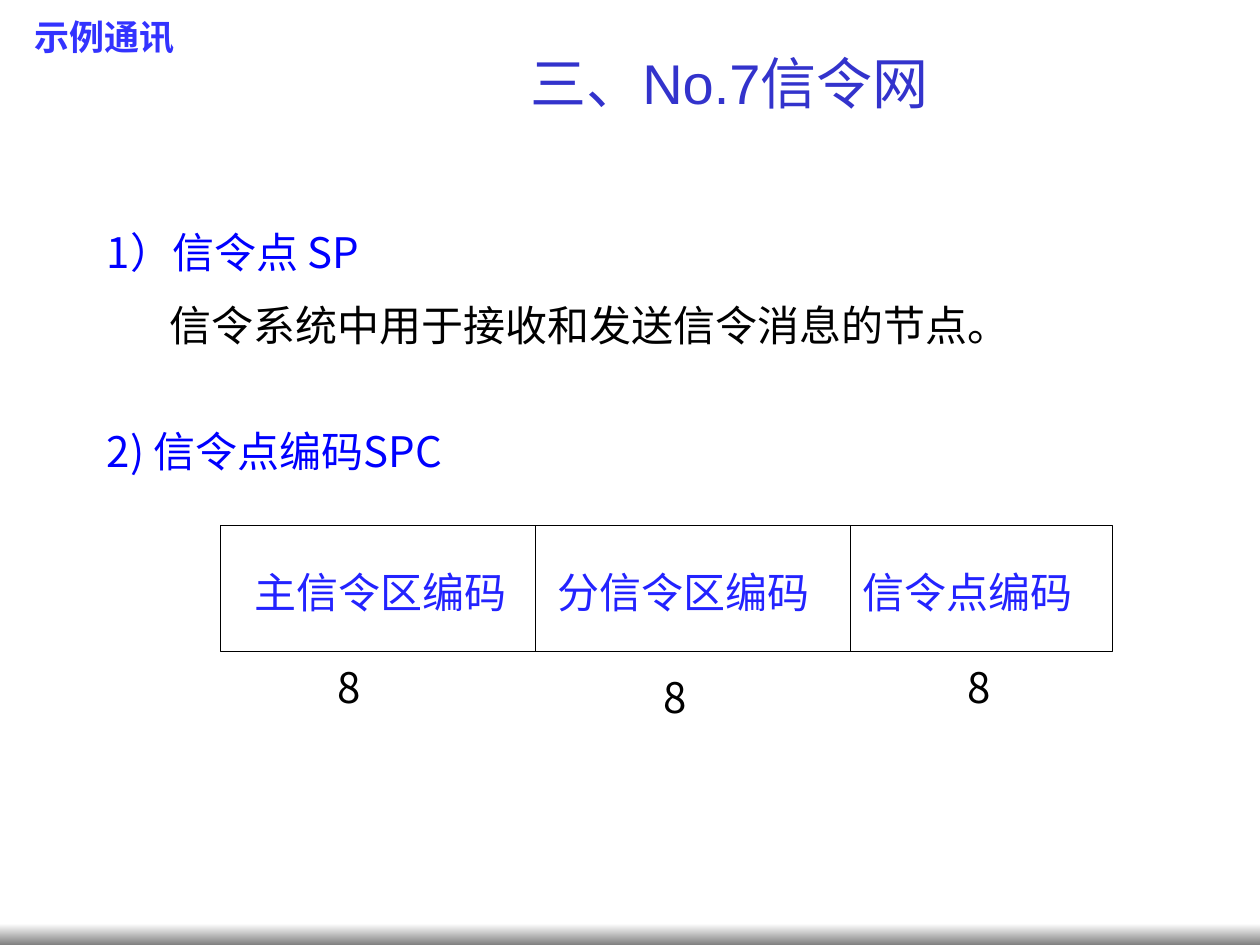
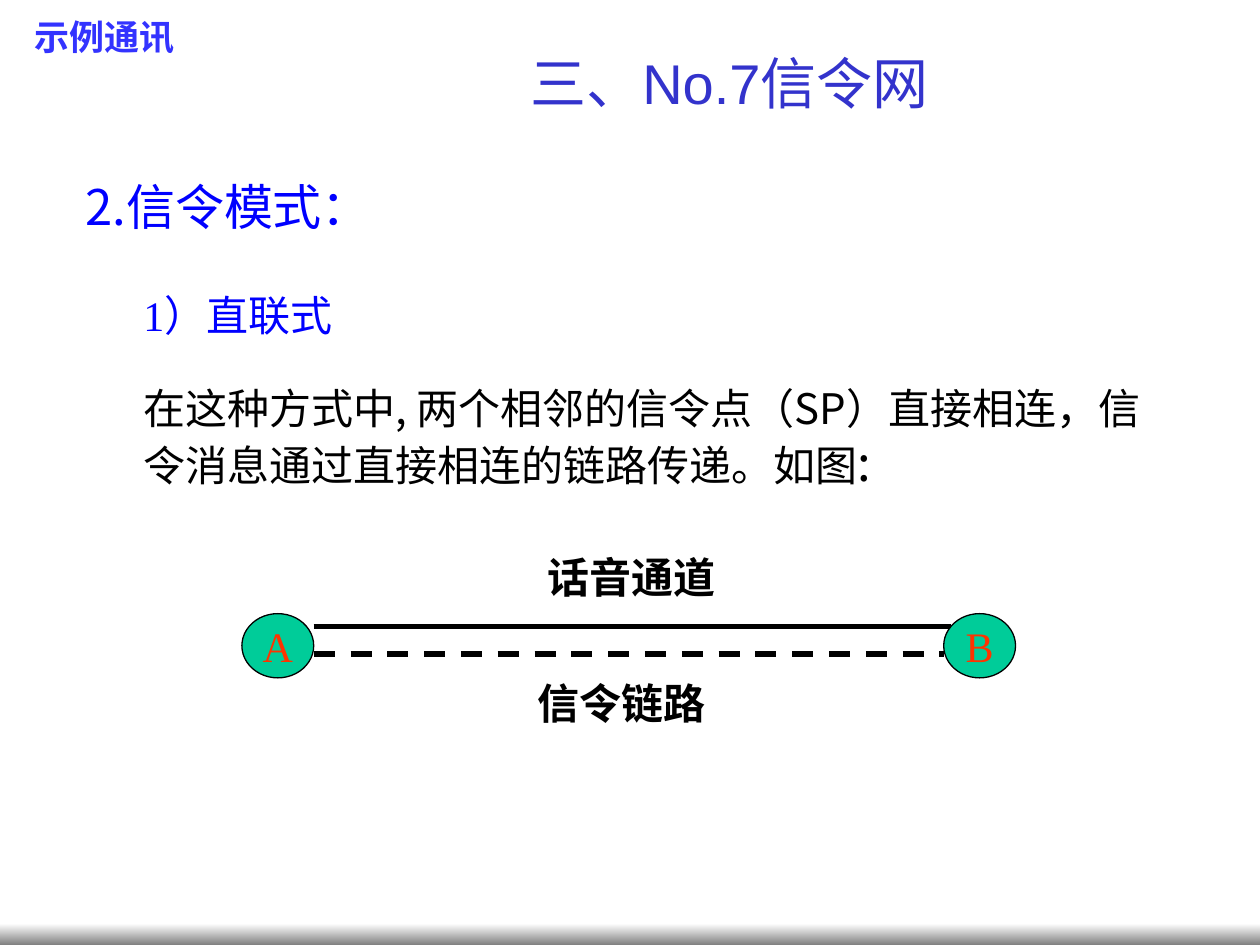
from dataclasses import dataclass

from lxml.etree import SubElement, fromstring
from pptx import Presentation
from pptx.dml.color import RGBColor
from pptx.enum.dml import MSO_LINE
from pptx.enum.shapes import MSO_CONNECTOR, MSO_SHAPE
from pptx.enum.text import MSO_ANCHOR, MSO_AUTO_SIZE, PP_ALIGN
from pptx.oxml.ns import nsdecls, qn
from pptx.util import Inches, Pt


@dataclass(frozen=True)
class Theme:
    """Colours, fonts and type sizes of the deck."""
    white: str = "FFFFFF"
    black: str = "000000"
    grey: str = "808080"
    brand: str = "3333FF"
    title: str = "3333CC"
    head: str = "0000FF"
    field: str = "2323FF"
    node: str = "00CC99"
    mark: str = "FF3300"
    sans: str = "Noto Sans CJK SC"
    serif: str = "Times New Roman"
    latin: str = "Arial"
    small: int = 20
    body: int = 24
    large: int = 28
    huge: int = 32


@dataclass(frozen=True)
class Box:
    """A region in inches."""
    x: float
    y: float
    w: float
    h: float

    def inner(self, dx, dy, w, h):
        """Return a box offset from this one."""
        return Box(self.x + dx, self.y + dy, w, h)

    def lengths(self):
        """Return left, top, width and height as lengths."""
        return [Inches(v) for v in (self.x, self.y, self.w, self.h)]


THEME = Theme()
PAGE = Box(0, 0, 10, 7.5)


def apply(item, values):
    """Set each named attribute of an item."""
    for name, value in values.items():
        setattr(item, name, value)


def write(para, text, color=THEME.black, size=THEME.body, font=THEME.sans, bold=False):
    """Append a formatted run to a paragraph."""
    run = para.add_run()
    run.text = text
    apply(run.font, {"size": Pt(size), "name": font, "bold": bold})
    run.font.color.rgb = RGBColor.from_string(color)
    SubElement(run.font._element, qn("a:ea")).set("typeface", THEME.sans)


def setup(shape, para=None, **frame):
    """Format a text frame and return its first paragraph."""
    apply(shape.text_frame, {"word_wrap": True, "vertical_anchor": MSO_ANCHOR.TOP} | frame)
    first = shape.text_frame.paragraphs[0]
    apply(first, para or {})
    return first


def label(slide, box, text, para=None, anchor=MSO_ANCHOR.TOP, **font):
    """Add a text box holding one paragraph and return that box."""
    shape = slide.shapes.add_textbox(*box.lengths())
    write(setup(shape, para, vertical_anchor=anchor), text, **font)
    return shape


def solid(slide, kind, box, color):
    """Add a filled shape with a thin black outline."""
    shape = slide.shapes.add_shape(kind, *box.lengths())
    shape.shadow.inherit = False
    shape.fill.solid()
    shape.fill.fore_color.rgb = RGBColor.from_string(color)
    shape.line.color.rgb = RGBColor.from_string(THEME.black)
    shape.line.width = Pt(0.75)
    return shape


def rule(slide, start, end, width=0.75, dash=None):
    """Draw a straight black line."""
    ends = [Inches(v) for v in (*start, *end)]
    line = slide.shapes.add_connector(MSO_CONNECTOR.STRAIGHT, *ends)
    line.line.color.rgb = RGBColor.from_string(THEME.black)
    apply(line.line, {"width": Pt(width), "dash_style": dash})
    SubElement(line._element.spPr, qn("a:effectLst"))


def band(slide, box):
    """Draw the fading band along the foot of the page."""
    shape = slide.shapes.add_shape(MSO_SHAPE.RECTANGLE, *box.lengths())
    shape.shadow.inherit = False
    shape.line.fill.background()
    shape.fill.gradient()
    shape.fill.gradient_angle = 270
    for stop, color, place in zip(shape.fill.gradient_stops, (THEME.white, THEME.grey), (0, 1)):
        stop.color.rgb = RGBColor.from_string(color)
        stop.position = place


def badge(slide, box):
    """Write the shadowed company name."""
    shape = label(slide, box, "示例通讯", {"alignment": PP_ALIGN.CENTER}, color=THEME.brand,
                  size=THEME.small, font=THEME.serif, bold=True)
    font = shape.text_frame.paragraphs[0].runs[0].font
    shade = fromstring(
        f'<a:effectLst {nsdecls("a")}><a:outerShdw dist="17961" dir="2700000">'
        f'<a:srgbClr val="{THEME.grey}"/></a:outerShdw></a:effectLst>')
    font._element.find(qn("a:solidFill")).addnext(shade)


def title(slide, box):
    """Place and format the chapter title."""
    shape = slide.shapes.title
    names = ("left", "top", "width", "height")
    apply(shape, dict(zip(names, box.lengths())))
    para = setup(shape, {"alignment": PP_ALIGN.CENTER, "space_before": Pt(20)},
                 vertical_anchor=MSO_ANCHOR.MIDDLE, auto_size=MSO_AUTO_SIZE.SHAPE_TO_FIT_TEXT)
    write(para, "三、No.7信令网", THEME.title, THEME.huge, THEME.latin)


def start(deck):
    """Add a slide with the shared title, name and band."""
    slide = deck.slides.add_slide(deck.slide_layouts[5])
    band(slide, PAGE.inner(0, 7.33, PAGE.w, 0.17))
    badge(slide, PAGE.inner(0.08, 0.07, 1.5, 0.44))
    title(slide, PAGE.inner(2, 0.33, 7.58, 0.64))
    return slide


def code(slide, box):
    """Draw the three code fields with their bit counts."""
    solid(slide, MSO_SHAPE.RECTANGLE, box, THEME.white)
    for x in (box.x + 2.5, box.x + 5):
        rule(slide, (x, box.y), (x, box.y + box.h))
    loose = {"line_spacing": 1.5, "space_before": Pt(15)}
    fields = (("主信令区编码", 0.17, 0.83, 0.83),
              ("分信令区编码", 2.58, 3.42, 0.91),
              ("信令点编码", 5, 5.83, 0.83))
    for name, dx, bit, dy in fields:
        label(slide, box.inner(dx, 0.08, 2.25, 0.7), name, loose, color=THEME.field)
        label(slide, box.inner(bit, dy, 0.42, 0.7), "8", loose)


def link(slide, box):
    """Draw two nodes joined by a voice channel and a signalling link."""
    size, top = 0.57, 0.54
    left, right = box.x + size, box.x + box.w - size
    rule(slide, (left, box.y + 0.64), (right + 0.06, box.y + 0.64), 3)
    rule(slide, (left, box.y + 0.86), (right, box.y + 0.86), 3, MSO_LINE.DASH)
    for name, dx in (("A", 0), ("B", box.w - size)):
        node = solid(slide, MSO_SHAPE.OVAL, box.inner(dx, top, size, 0.51), THEME.node)
        para = setup(node, {"alignment": PP_ALIGN.CENTER}, word_wrap=False,
                     vertical_anchor=MSO_ANCHOR.MIDDLE)
        write(para, name, THEME.mark, font=THEME.serif)
    for name, dx, dy in (("话音通道", 2.33, 0), ("信令链路", 2.25, 1)):
        label(slide, box.inner(dx, dy, 2.83, 0.5), name, {"space_before": Pt(15)},
              font=THEME.serif, bold=True)


def points(deck):
    """Build the slide on signalling points and their codes."""
    slide = start(deck)
    label(slide, PAGE.inner(0.75, 1.75, 2.92, 0.5), "1）信令点 SP", color=THEME.head)
    label(slide, PAGE.inner(1.25, 2.33, 8.5, 0.67), "信令系统中用于接收和发送信令消息的节点。",
          {"space_before": Pt(6)})
    label(slide, PAGE.inner(0.75, 3.33, 3.5, 0.5), "2) 信令点编码SPC", {"line_spacing": 1.5},
          MSO_ANCHOR.BOTTOM, color=THEME.head)
    code(slide, PAGE.inner(1.75, 4.17, 7.08, 1))


def modes(deck):
    """Build the slide on the direct signalling mode."""
    slide = start(deck)
    label(slide, PAGE.inner(0.58, 0.67, 8.5, 1.92), "2.信令模式：", anchor=MSO_ANCHOR.MIDDLE,
          color=THEME.head, size=THEME.large)
    body = label(slide, PAGE.inner(1.04, 2.25, 8.12, 1.8), "1）直联式",
                 color=THEME.head, font=THEME.serif)
    para = body.text_frame.add_paragraph()
    para.space_before = Pt(24)
    write(para, "在这种方式中, 两个相邻的信令点（SP）直接相连，信令消息通过直接相连的链路传递。如图")
    write(para, ":", size=THEME.large)
    link(slide, PAGE.inner(1.92, 4.33, 6.14, 1.5))


def main():
    """Build and save the deck."""
    deck = Presentation()
    apply(deck, {"slide_width": Inches(PAGE.w), "slide_height": Inches(PAGE.h)})
    points(deck)
    modes(deck)
    deck.save("out.pptx")


if __name__ == "__main__":
    main()
